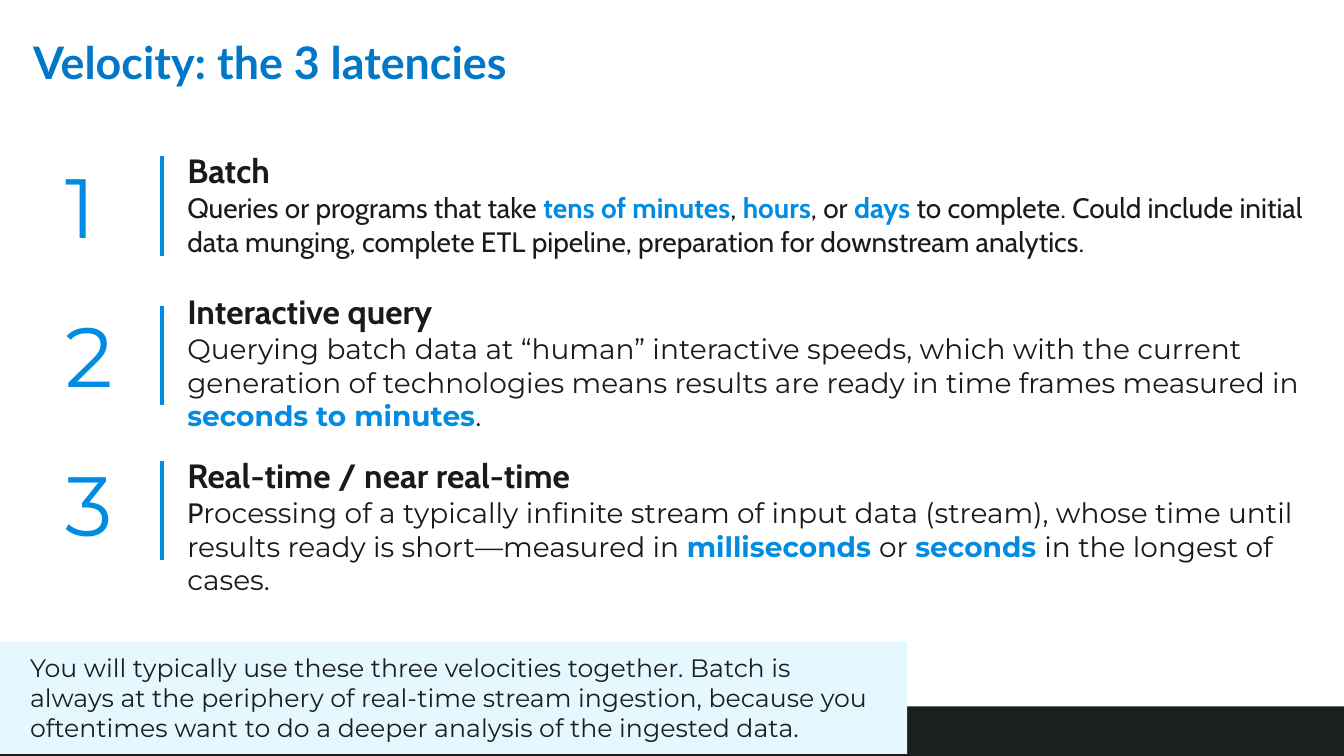
from lxml.etree import SubElement
from pptx import Presentation
from pptx.dml.color import RGBColor
from pptx.enum.shapes import MSO_CONNECTOR, MSO_SHAPE
from pptx.enum.text import MSO_ANCHOR, PP_ALIGN
from pptx.oxml.ns import qn
from pptx.util import Cm, Pt

BLUE = RGBColor(0x00, 0x8C, 0xE2)
NAVY = RGBColor(0x00, 0x77, 0xC8)
INK = RGBColor(0x1A, 0x1A, 0x1A)
DARK = RGBColor(0x1A, 0x1F, 0x20)
PALE = RGBColor(0xE5, 0xF8, 0xFF)
CABIN, LATO, MONT = "Cabin", "Lato", "Montserrat"

ITEMS = [
    ("Batch", 3.66, 3.94, [
        ("Queries or programs that take ", CABIN, False),
        ("tens of minutes", CABIN, True),
        (", ", CABIN, False),
        ("hours", CABIN, True),
        (", or ", CABIN, False),
        ("days", CABIN, True),
        (" to complete. Could include initial data munging, complete ETL "
         "pipeline, preparation for downstream analytics.", CABIN, False),
    ]),
    ("Interactive query", 7.21, 7.7, [
        ("Querying batch data at “human” interactive speeds, which with the "
         "current generation of technologies means results are ready in time "
         "frames measured in ", MONT, False),
        ("seconds to minutes", MONT, True),
        (".", MONT, False),
    ]),
    ("Real-time / near real-time", 11.35, 11.61, [
        ("P", CABIN, False),
        ("rocessing of a typically infinite stream of input data (stream), "
         "whose time until results ready is short—measured in ", MONT, False),
        ("milliseconds ", MONT, True),
        ("or ", MONT, False),
        ("seconds ", MONT, True),
        ("in the longest of cases.", MONT, False),
    ]),
]
NOTE = ("You will typically use these three velocities together. Batch is "
        "always at the periphery of real-time stream ingestion, because you "
        "oftentimes want to do a deeper analysis of the ingested data.")


def add_run(para, text, size, face, color, bold=False):
    """Append one formatted run to a paragraph."""
    run = para.add_run()
    run.text = text
    font = run.font
    font.size, font.name, font.bold = Pt(size), face, bold
    font.color.rgb = color


def add_rect(slide, left, top, width, height, fill):
    """Add a plain filled rectangle."""
    rect = slide.shapes.add_shape(
        MSO_SHAPE.RECTANGLE, Cm(left), Cm(top), Cm(width), Cm(height))
    rect.shadow.inherit = False
    rect.fill.solid()
    rect.fill.fore_color.rgb = fill
    rect.line.fill.background()
    return rect


def add_text(shapes, left, top, width, height, wrap):
    """Add a text box and return its first paragraph."""
    box = shapes.add_textbox(Cm(left), Cm(top), Cm(width), Cm(height))
    box.text_frame.word_wrap = wrap
    return box.text_frame.paragraphs[0]


def add_rule(shapes, left, top, height):
    """Add a vertical blue line."""
    rule = shapes.add_connector(
        MSO_CONNECTOR.STRAIGHT, Cm(left), Cm(top), Cm(left), Cm(top + height))
    rule.line.color.rgb = BLUE
    rule.line.width = Pt(3)
    SubElement(rule._element.spPr, qn("a:effectLst"))


def add_item(slide, index, head, top, rule, parts):
    """Add a numbered latency with its rule, heading and text."""
    shapes = slide.shapes.add_group_shape().shapes
    add_rule(shapes, 4.09, rule, 2.5)
    digit = add_text(shapes, 1.4, 3.78 + 3.75 * index, 1.68, 2.82, False)
    add_run(digit, str(index + 1), 60, MONT, BLUE)
    para = add_text(shapes, 4.47, top, 28.68, 3, True)
    add_run(para, head, 24, CABIN, INK, True)
    para.add_line_break()
    for text, face, strong in parts:
        add_run(para, text, 20, face, BLUE if strong else INK, strong)


def add_title(slide, text):
    """Place and fill the title placeholder."""
    title = slide.shapes.title
    title.left, title.top = Cm(0.58), Cm(-0.2)
    title.width, title.height = Cm(27.84), Cm(3.68)
    frame = title.text_frame
    frame.vertical_anchor = MSO_ANCHOR.MIDDLE
    para = frame.paragraphs[0]
    para.alignment = PP_ALIGN.LEFT
    para.line_spacing = 0.9
    add_run(para, text, 32, LATO, NAVY, True)


def add_note(slide, text):
    """Add the pale note at the foot of the slide."""
    frame = add_rect(slide, 0, 16.18, 22.86, 2.82, PALE).text_frame
    frame.word_wrap = True
    frame.margin_left = frame.margin_right = Cm(0.76)
    frame.margin_top = frame.margin_bottom = Cm(0.25)
    frame.vertical_anchor = MSO_ANCHOR.TOP
    para = frame.paragraphs[0]
    para.alignment = PP_ALIGN.LEFT
    add_run(para, text, 18, MONT, DARK)


def main():
    """Build the slide and save it."""
    deck = Presentation()
    deck.slide_width, deck.slide_height = Cm(33.87), Cm(19.05)
    slide = deck.slides.add_slide(deck.slide_layouts[5])
    add_rect(slide, 0, 17.8, 33.87, 1.25, DARK)
    add_title(slide, "Velocity: the 3 latencies")
    for index, item in enumerate(ITEMS):
        add_item(slide, index, *item)
    add_note(slide, NOTE)
    deck.save("out.pptx")


if __name__ == "__main__":
    main()
